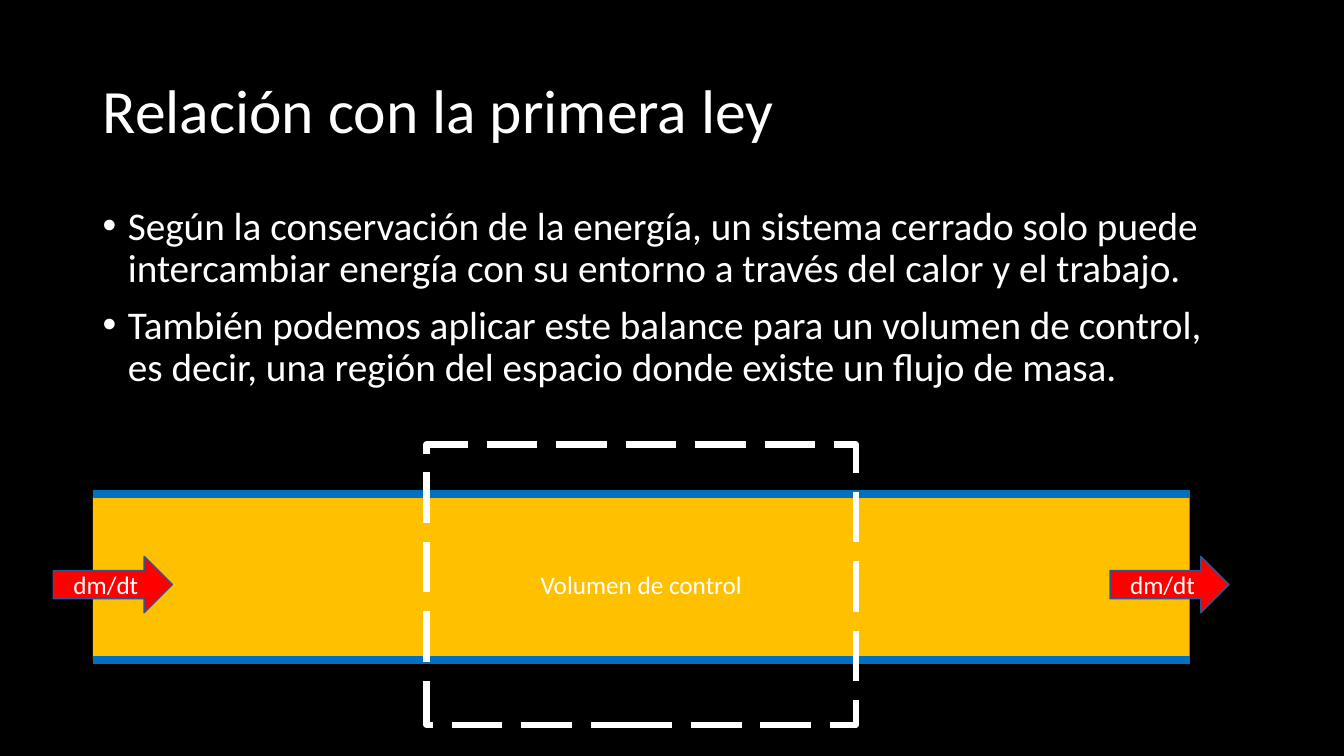
"""Build the slide relating the first law to a control volume."""
from lxml.etree import SubElement
from pptx import Presentation
from pptx.dml.color import RGBColor
from pptx.enum.dml import MSO_LINE
from pptx.enum.shapes import MSO_CONNECTOR, MSO_SHAPE
from pptx.enum.text import MSO_ANCHOR, PP_ALIGN
from pptx.oxml.ns import qn
from pptx.util import Inches, Pt

TITLE = "Relación con la primera ley"
POINTS = [
    "Según la conservación de la energía, un sistema cerrado solo puede "
    "intercambiar energía con su entorno a través del calor y el trabajo.",
    "También podemos aplicar este balance para un volumen de control, "
    "es decir, una región del espacio donde existe un flujo de masa.",
]
FLOW_LABEL = "dm/dt"
VOLUME_LABEL = "Volumen de control"

FONT = "Calibri"
BLACK = RGBColor(0x00, 0x00, 0x00)
WHITE = RGBColor(0xFF, 0xFF, 0xFF)
AMBER = RGBColor(0xFF, 0xC0, 0x00)
BLUE = RGBColor(0x00, 0x70, 0xC0)
RED = RGBColor(0xFF, 0x00, 0x00)
NAVY = RGBColor(0x32, 0x54, 0x91)

TITLE_BOX = (0.92, 0.4, 11.5, 1.45)
POINTS_BOX = (0.92, 2, 11.5, 2.03)
PIPE_LEFT, PIPE_WIDTH = 0.92, 10.88
FLUID_BOX = (PIPE_LEFT, 4.94, PIPE_WIDTH, 1.61)
WALL_TOPS = (4.9, 6.55)
FLOW_LEFTS = (0.53, 11.01)
FLOW_TOP, FLOW_WIDTH, FLOW_HEIGHT = 5.52, 1.18, 0.56
VOLUME_BOX = (4.23, 4.41, 4.26, 2.78)


def style(paragraph, size):
    font = paragraph.font
    font.name, font.size = FONT, Pt(size)
    font.color.rgb = WHITE


def add_text(slide, box, lines, size, anchor, bulleted=False):
    frame = slide.shapes.add_textbox(*map(Inches, box)).text_frame
    frame.word_wrap = True
    frame.vertical_anchor = anchor
    frame.text = "\n".join(lines)
    for index, paragraph in enumerate(frame.paragraphs):
        paragraph.line_spacing = 0.9
        if index:
            paragraph.space_before = Pt(10)
        if bulleted:
            props = paragraph._p.get_or_add_pPr()
            props.set("marL", str(Inches(0.25)))
            props.set("indent", str(-Inches(0.25)))
            SubElement(props, qn("a:buFont")).set("typeface", "Arial")
            SubElement(props, qn("a:buChar")).set("char", "•")
        style(paragraph, size)


def add_block(slide, kind, box, fill=None, line=None, width=1, label=None):
    block = slide.shapes.add_shape(kind, *map(Inches, box))
    block.shadow.inherit = False
    if fill is None:
        block.fill.background()
    else:
        block.fill.solid()
        block.fill.fore_color.rgb = fill
    if line is None:
        block.line.fill.background()
    else:
        block.line.color.rgb = line
        block.line.width = Pt(width)
    if label:
        block.text_frame.text = label
        block.text_frame.vertical_anchor = MSO_ANCHOR.MIDDLE
        paragraph = block.text_frame.paragraphs[0]
        paragraph.alignment = PP_ALIGN.CENTER
        style(paragraph, 18)
    return block


def add_wall(slide, top):
    ends = (PIPE_LEFT, top, PIPE_LEFT + PIPE_WIDTH, top)
    wall = slide.shapes.add_connector(MSO_CONNECTOR.STRAIGHT, *map(Inches, ends))
    wall.line.color.rgb = BLUE
    wall.line.width = Pt(6)
    SubElement(wall._element.spPr, qn("a:effectLst"))


def main():
    deck = Presentation()
    deck.slide_width, deck.slide_height = Inches(13.33), Inches(7.5)
    slide = deck.slides.add_slide(deck.slide_layouts[6])
    slide.background.fill.solid()
    slide.background.fill.fore_color.rgb = BLACK

    add_text(slide, TITLE_BOX, [TITLE], 44, MSO_ANCHOR.MIDDLE)
    add_text(slide, POINTS_BOX, POINTS, 28, MSO_ANCHOR.TOP, bulleted=True)

    add_block(slide, MSO_SHAPE.RECTANGLE, FLUID_BOX, fill=AMBER)
    for top in WALL_TOPS:
        add_wall(slide, top)
    for left in FLOW_LEFTS:
        add_block(slide, MSO_SHAPE.RIGHT_ARROW, (left, FLOW_TOP, FLOW_WIDTH, FLOW_HEIGHT),
                  fill=RED, line=NAVY, label=FLOW_LABEL)
    volume = add_block(slide, MSO_SHAPE.RECTANGLE, VOLUME_BOX,
                       line=WHITE, width=4.5, label=VOLUME_LABEL)
    volume.line.dash_style = MSO_LINE.LONG_DASH

    deck.save("out.pptx")


if __name__ == "__main__":
    main()
